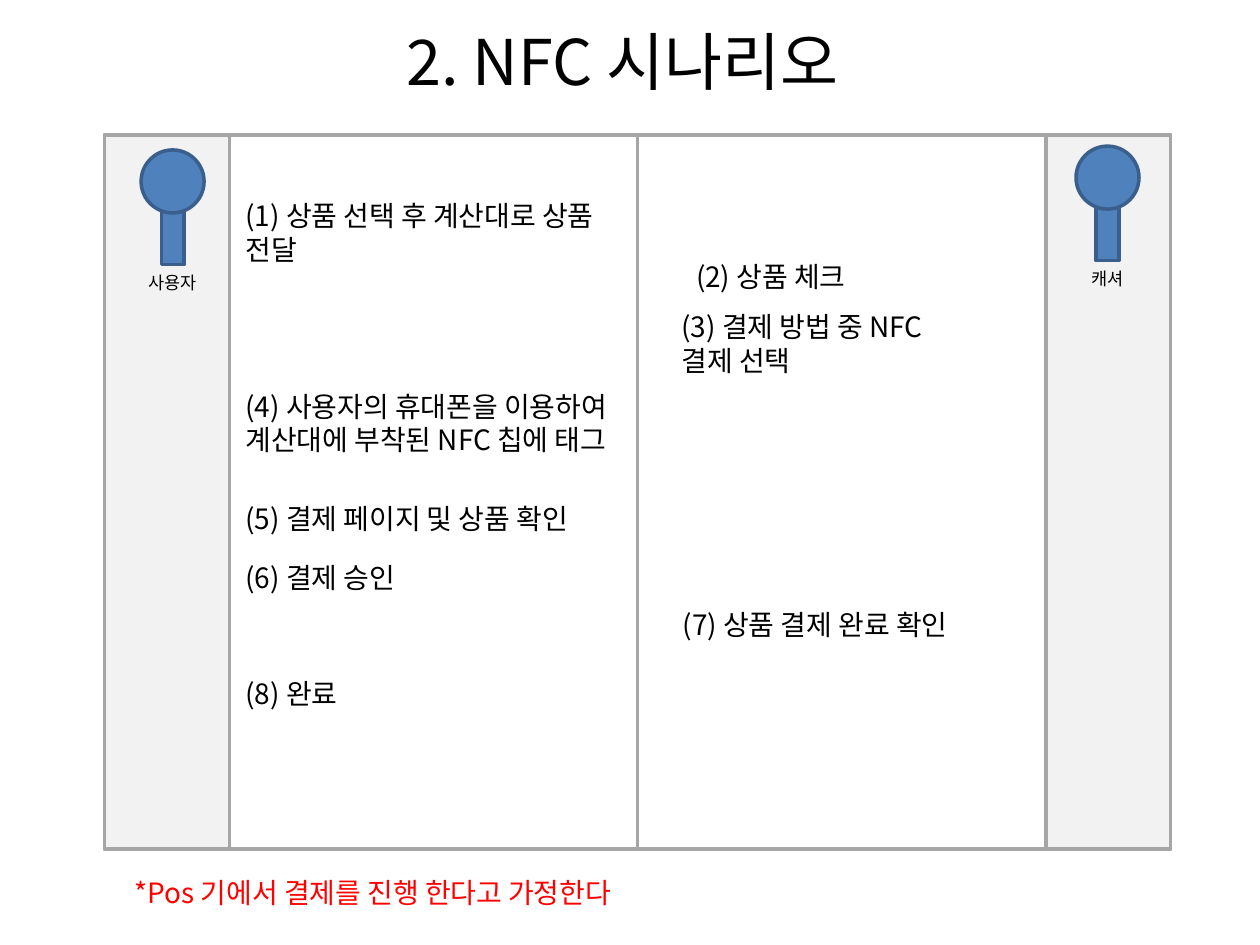
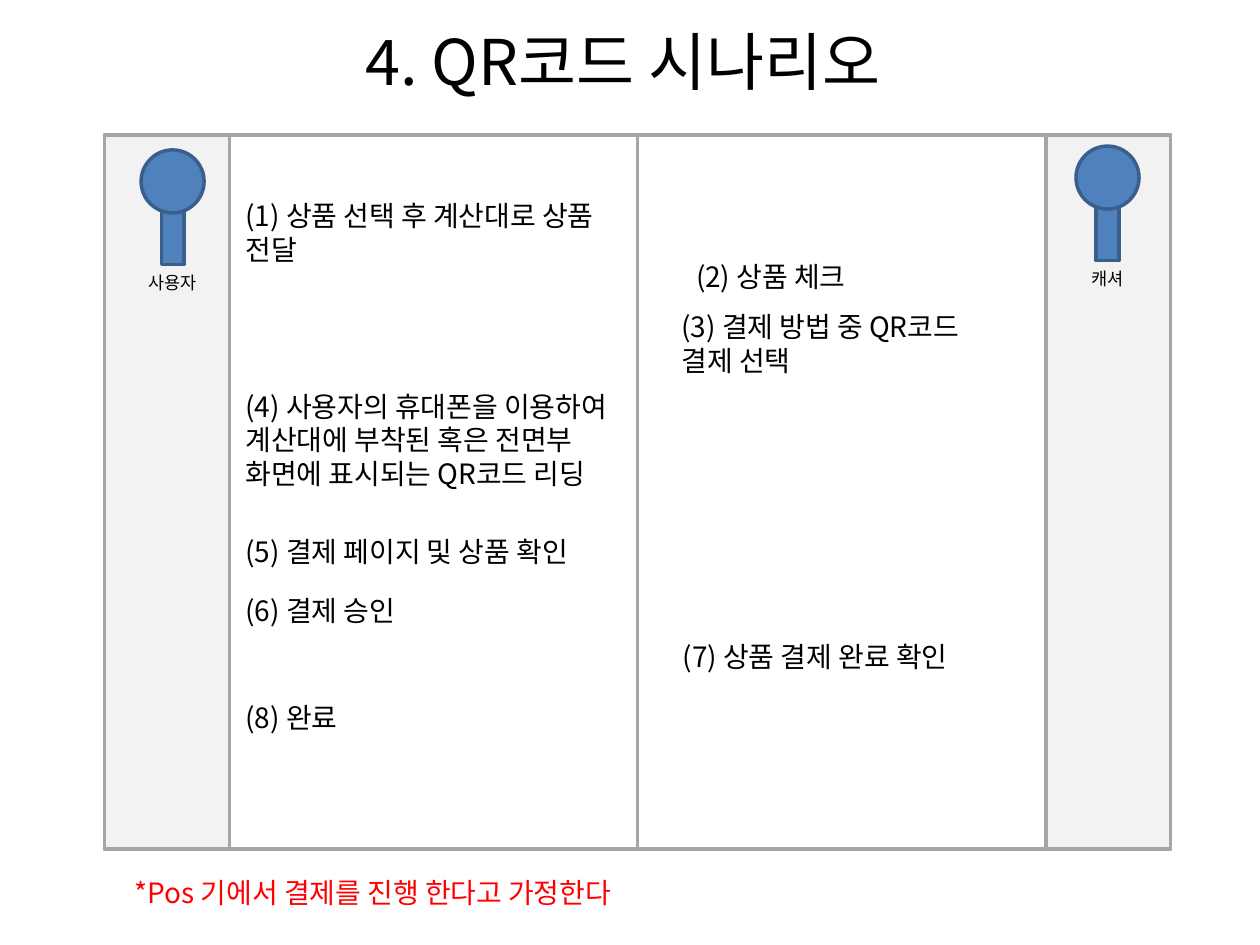
from dataclasses import dataclass

from pptx import Presentation
from pptx.dml.color import RGBColor
from pptx.enum import shapes, text
from pptx.oxml.ns import qn
from pptx.util import Inches, Pt

LEFT, CENTER, RIGHT = text.PP_ALIGN.LEFT, text.PP_ALIGN.CENTER, text.PP_ALIGN.RIGHT
RECT, OVAL = shapes.MSO_SHAPE.RECTANGLE, shapes.MSO_SHAPE.OVAL


@dataclass(frozen=True)
class Theme:
    font: str = "Noto Sans CJK KR"
    ink: str = "000000"
    note: str = "FF0000"
    lane: str = "FFFFFF"
    actor_band: str = "F2F2F2"
    border: str = "A6A6A6"
    figure: str = "4F81BD"
    figure_line: str = "3A5F8C"
    title_size: int = 36
    step_size: int = 16
    label_size: int = 10
    line_width: int = 2
    leading: float = 1.2


THEME = Theme()

# Each scenario: title, title box (left, width), steps as (actor, top, lines, text)
SCENARIOS = [
    ("2. NFC 시나리오", (2.98, 3.92), [
        ("user", 1.53, 2, "(1) 상품 선택 후 계산대로 상품 전달"),
        ("check", 2.01, 1, "(2) 상품 체크"),
        ("choose", 2.41, 2, "(3) 결제 방법 중 NFC 결제 선택"),
        ("user", 3.04, 3, "(4) 사용자의 휴대폰을 이용하여 계산대에 부착된 NFC 칩에 태그"),
        ("user", 3.93, 1, "(5) 결제 페이지 및 상품 확인"),
        ("user", 4.40, 1, "(6) 결제 승인"),
        ("confirm", 4.77, 1, "(7) 상품 결제 완료 확인"),
        ("user", 5.32, 1, "(8) 완료"),
    ]),
    ("4. QR코드 시나리오", (2.61, 4.67), [
        ("user", 1.53, 2, "(1) 상품 선택 후 계산대로 상품 전달"),
        ("check", 2.01, 1, "(2) 상품 체크"),
        ("choose", 2.41, 2, "(3) 결제 방법 중 QR코드 결제 선택"),
        ("user", 3.04, 4, "(4) 사용자의 휴대폰을 이용하여 계산대에 부착된 혹은 "
                          "전면부 화면에 표시되는 QR코드 리딩"),
        ("user", 4.19, 1, "(5) 결제 페이지 및 상품 확인"),
        ("user", 4.66, 1, "(6) 결제 승인"),
        ("confirm", 5.03, 1, "(7) 상품 결제 완료 확인"),
        ("user", 5.51, 1, "(8) 완료"),
    ]),
]
NOTE = "*Pos 기에서 결제를 진행 한다고 가정한다"
ACTORS = [("사용자", 1.37, 1.19, 0.62), ("캐셔", 8.79, 1.16, 0.48)]  # label, centre, top, label width

# Step boxes: left, width, alignment
STEP_BOXES = {
    "user": (1.85, 3.09, LEFT),
    "check": (5.29, 1.52, RIGHT),
    "choose": (5.31, 2.41, LEFT),
    "confirm": (5.32, 2.57, LEFT),
}
LANE_LEFT, LANE_TOP, LANE_WIDTH, LANE_HEIGHT = 0.83, 1.07, 4.23, 5.67
BAND_WIDTH = 0.99
HEAD, BODY_WIDTH, BODY_HEIGHT, BODY_DROP, LABEL_DROP = 0.5, 0.18, 0.44, 0.47, 0.92
LINE_HEIGHT, PADDING = 0.27, 0.1


def write(sp, words, size, color=THEME.ink, align=LEFT, wrap=True):
    tf = sp.text_frame
    frame_format = {"word_wrap": wrap, "auto_size": text.MSO_AUTO_SIZE.NONE,
                    "vertical_anchor": text.MSO_ANCHOR.TOP}
    for name, value in frame_format.items():
        setattr(tf, name, value)
    p = tf.paragraphs[0]
    p.alignment = align
    p.line_spacing = Pt(size * THEME.leading)
    r = p.add_run()
    r.text = words
    for name, value in {"name": THEME.font, "size": Pt(size)}.items():
        setattr(r.font, name, value)
    r.font.color.rgb = RGBColor.from_string(color)
    east_asian = r.font._element.makeelement(qn("a:ea"), {"typeface": THEME.font})
    r.font._element.find(qn("a:latin")).addnext(east_asian)


def add_text(parent, box, words, size, **style):
    sp = parent.add_textbox(*map(Inches, box))
    write(sp, words, size, **style)


def add_block(parent, kind, box, fill, line):
    sp = parent.add_shape(kind, *map(Inches, box))
    sp.shadow.inherit = False
    sp.fill.solid()
    sp.fill.fore_color.rgb = RGBColor.from_string(fill)
    sp.line.color.rgb = RGBColor.from_string(line)
    sp.line.width = Pt(THEME.line_width)


def add_lanes(s):
    """Draw the cashier lane and then the user lane, each with its actor band outside."""
    right = LANE_LEFT + 2 * LANE_WIDTH
    for lane_left, band_left in ((LANE_LEFT + LANE_WIDTH, right - BAND_WIDTH),
                                 (LANE_LEFT, LANE_LEFT)):
        for left, width, fill in ((lane_left, LANE_WIDTH, THEME.lane),
                                  (band_left, BAND_WIDTH, THEME.actor_band)):
            add_block(s.shapes, RECT, (left, LANE_TOP, width, LANE_HEIGHT), fill, THEME.border)


def add_actor(s, label, center, top, label_width):
    group = s.shapes.add_group_shape().shapes
    for kind, drop, width, height in ((RECT, BODY_DROP, BODY_WIDTH, BODY_HEIGHT),
                                      (OVAL, 0, HEAD, HEAD)):
        add_block(group, kind, (center - width / 2, top + drop, width, height),
                  THEME.figure, THEME.figure_line)
    add_text(group, (center - label_width / 2, top + LABEL_DROP, label_width, LINE_HEIGHT),
             label, THEME.label_size, align=CENTER, wrap=False)


def add_scenario(prs, title, title_box, steps):
    s = prs.slides.add_slide(prs.slide_layouts.get_by_name("Title Only"))
    left, width = title_box
    sp = s.shapes.title
    for name, value in {"left": left, "top": 0.13, "width": width, "height": 0.71}.items():
        setattr(sp, name, Inches(value))
    write(sp, title, THEME.title_size, align=CENTER)
    add_lanes(s)
    for actor in ACTORS:
        add_actor(s, *actor)
    for who, top, lines, words in steps:
        left, width, align = STEP_BOXES[who]
        add_text(s.shapes, (left, top, width, PADDING + lines * LINE_HEIGHT),
                 words, THEME.step_size, align=align)
    add_text(s.shapes, (0.97, 6.9, 4.41, PADDING + LINE_HEIGHT), NOTE,
             THEME.step_size, color=THEME.note)


def main():
    prs = Presentation()
    prs.slide_width, prs.slide_height = Inches(10), Inches(7.5)
    for scenario in SCENARIOS:
        add_scenario(prs, *scenario)
    prs.save("out.pptx")


if __name__ == "__main__":
    main()
